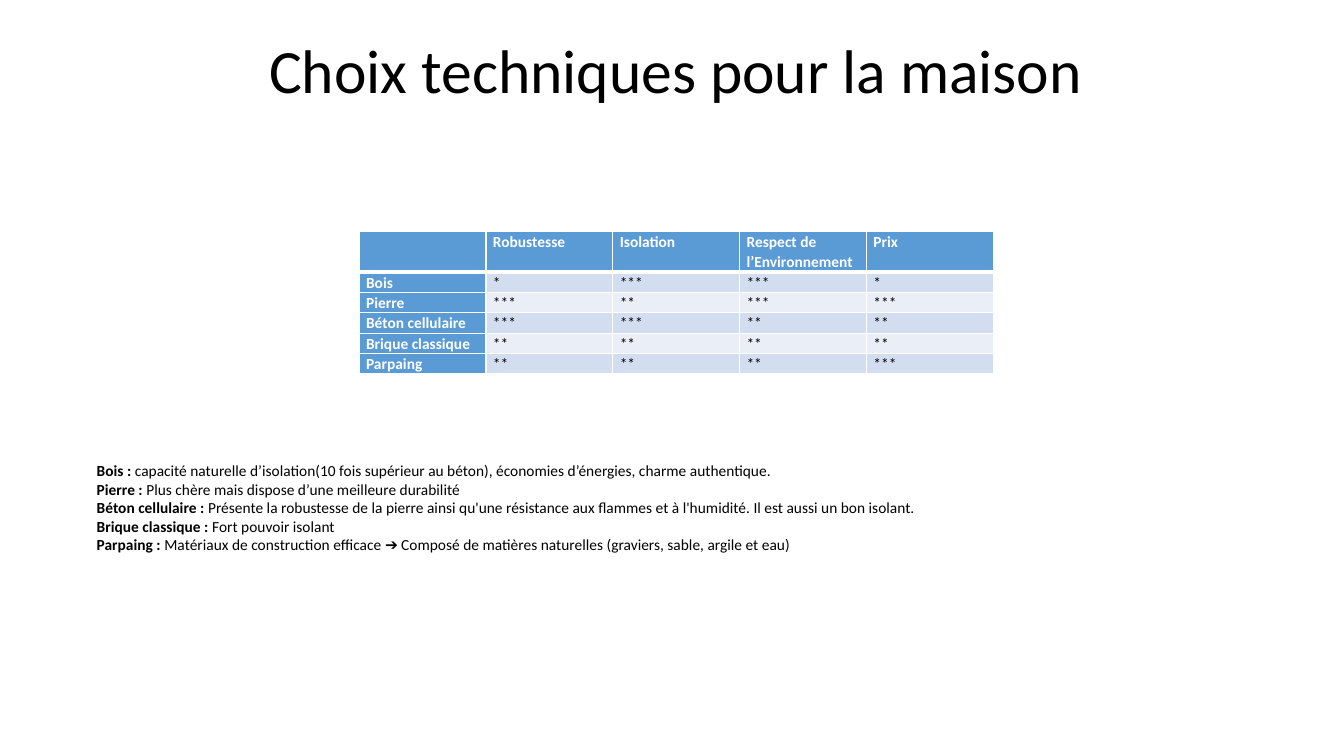
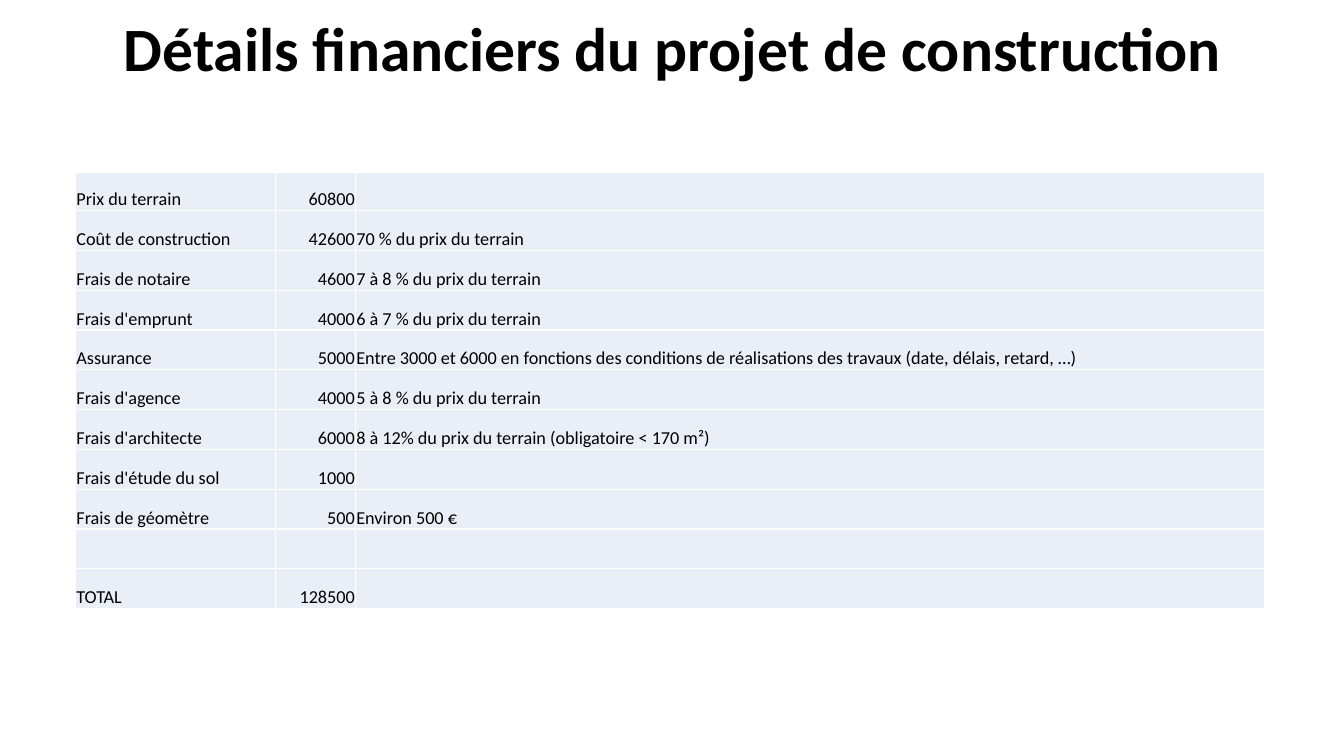
import pptx
import pptx.dml.color
import pptx.enum.text
import pptx.oxml
import pptx.oxml.ns
import pptx.util

Pt = pptx.util.Pt
RGB = pptx.dml.color.RGBColor
ALIGN = pptx.enum.text.PP_ALIGN
ANCHOR = pptx.enum.text.MSO_ANCHOR
AUTO = pptx.enum.text.MSO_AUTO_SIZE

FONT = "Calibri"
BLACK = RGB(0x00, 0x00, 0x00)
WHITE = RGB(0xFF, 0xFF, 0xFF)
BLUE = RGB(0x5B, 0x9B, 0xD5)
BAND_DARK = RGB(0xD2, 0xDE, 0xEF)
BAND_LIGHT = RGB(0xEA, 0xEF, 0xF7)

MATERIALS_TITLE = "Choix techniques pour la maison"
MATERIALS = [
    ("", "Robustesse", "Isolation", "Respect de l’Environnement", "Prix"),
    ("Bois", "*", "***", "***", "*"),
    ("Pierre", "***", "**", "***", "***"),
    ("Béton cellulaire", "***", "***", "**", "**"),
    ("Brique classique", "**", "**", "**", "**"),
    ("Parpaing", "**", "**", "**", "***"),
]
REMARKS = [
    ("Bois :", "capacité naturelle d’isolation(10 fois supérieur au béton), "
               "économies d’énergies, charme authentique."),
    ("Pierre :", "Plus chère mais dispose d’une meilleure durabilité"),
    ("Béton cellulaire :", "Présente la robustesse de la pierre ainsi qu'une résistance "
                           "aux flammes et à l'humidité. Il est aussi un bon isolant."),
    ("Brique classique :", "Fort pouvoir isolant"),
    ("Parpaing :", "Matériaux de construction efficace ➔ Composé de matières "
                   "naturelles (graviers, sable, argile et eau)"),
]

COSTS_TITLE = "Détails financiers du projet de construction"
COSTS = [
    ("Prix du terrain", "60800", ""),
    ("Coût de construction", "42600", "70 % du prix du terrain"),
    ("Frais de notaire", "4600", "7 à 8 % du prix du terrain"),
    ("Frais d'emprunt", "4000", "6 à 7 % du prix du terrain"),
    ("Assurance", "5000", "Entre 3000 et 6000 en fonctions des conditions de "
                          "réalisations des travaux (date, délais, retard, …)"),
    ("Frais d'agence", "4000", "5 à 8 % du prix du terrain"),
    ("Frais d'architecte", "6000", "8 à 12% du prix du terrain (obligatoire < 170 m²)"),
    ("Frais d'étude du sol", "1000", ""),
    ("Frais de géomètre", "500", "Environ 500 €"),
    ("", "", ""),
    ("TOTAL", "128500", ""),
]


def set_all(target, values):
    for name, value in values.items():
        setattr(target, name, value)


def add_run(p, text, size, color=BLACK, bold=False):
    r = p.add_run()
    r.text = text
    set_all(r.font, {"name": FONT, "size": Pt(size), "bold": bold})
    r.font.color.rgb = color


def add_slide(prs, title, box, bold=False):
    """Add a title-only slide; box is the title's left, top, width, height."""
    s = prs.slides.add_slide(prs.slide_layouts[5])
    sp = s.shapes.title
    set_all(sp, dict(zip(("left", "top", "width", "height"), map(Pt, box))))
    tf = sp.text_frame
    set_all(tf, {"word_wrap": True, "auto_size": AUTO.NONE,
                 "vertical_anchor": ANCHOR.MIDDLE})
    p = tf.paragraphs[0]
    set_all(p, {"alignment": ALIGN.CENTER, "line_spacing": 0.9})
    add_run(p, title, 44, bold=bold)
    return s


def set_borders(cell, widths):
    """Draw white borders; widths maps L, R, T, B to points, in that order."""
    tcPr = cell._tc.get_or_add_tcPr()
    for side, width in widths.items():
        tcPr.append(pptx.oxml.parse_xml(
            f'<a:ln{side} {pptx.oxml.ns.nsdecls("a")} w="{Pt(width)}">'
            f'<a:solidFill><a:srgbClr val="{WHITE}"/></a:solidFill></a:ln{side}>'))


def add_table(s, rows, left, top, col_widths, row_heights, margins, style):
    """Add a table; style(row, col) gives the look of one cell."""
    frame = s.shapes.add_table(len(rows), len(col_widths), Pt(left), Pt(top),
                               Pt(sum(col_widths)), Pt(sum(row_heights)))
    table = frame.table
    set_all(table, {"first_row": False, "horz_banding": False})
    for column, width in zip(table.columns, col_widths):
        column.width = Pt(width)
    for row, height in zip(table.rows, row_heights):
        row.height = Pt(height)
    sides = ("margin_left", "margin_top", "margin_right", "margin_bottom")
    for i, texts in enumerate(rows):
        for j, text in enumerate(texts):
            look = style(i, j)
            cell = table.cell(i, j)
            set_borders(cell, {"L": 1, "R": 1, "T": look.get("top", 1),
                               "B": look.get("bottom", 1)})
            cell.fill.solid()
            cell.fill.fore_color.rgb = look["fill"]
            set_all(cell, dict(zip(sides, map(Pt, margins))))
            cell.vertical_anchor = look.get("anchor", ANCHOR.TOP)
            p = cell.text_frame.paragraphs[0]
            set_all(p, look["paragraph"])
            if text:
                add_run(p, text, **look["font"])


def material_style(row, col):
    heading = row == 0 or col == 0
    band = BAND_DARK if row % 2 else BAND_LIGHT
    return {"fill": BLUE if heading else band,
            "top": 3 if row == 1 else 1,
            "bottom": 3 if row == 0 else 1,
            "paragraph": {"line_spacing": 1.07},
            "font": {"size": 11, "color": WHITE if heading else BLACK, "bold": heading}}


def cost_style(row, col):
    return {"fill": BAND_LIGHT,
            "anchor": ANCHOR.BOTTOM,
            "paragraph": {"alignment": ALIGN.RIGHT if col == 1 else ALIGN.LEFT},
            "font": {"size": 13}}


def add_remarks(s):
    sp = s.shapes.add_textbox(Pt(62), Pt(325.5), Pt(688), Pt(74))
    tf = sp.text_frame
    set_all(tf, {"word_wrap": True, "auto_size": AUTO.SHAPE_TO_FIT_TEXT,
                 "vertical_anchor": ANCHOR.MIDDLE})
    for i, (label, text) in enumerate(REMARKS):
        p = tf.add_paragraph() if i else tf.paragraphs[0]
        add_run(p, label + " ", 11, bold=True)
        add_run(p, text, 11)


def main():
    prs = pptx.Presentation()
    set_all(prs, {"slide_width": Pt(960), "slide_height": Pt(540)})

    s = add_slide(prs, MATERIALS_TITLE, (69, 0, 828, 104.4))
    add_table(s, MATERIALS, 256.5, 165.3, [90.6] * 5, [28.8] + [14.4] * 5,
              (5, 0, 5, 0), material_style)
    add_remarks(s)

    s = add_slide(prs, COSTS_TITLE, (67, 9, 828, 55), bold=True)
    add_table(s, COSTS, 54, 123.4, [143, 57, 649], [27] + [28.45] * 10,
              (0.6, 0.6, 0.6, 0), cost_style)

    prs.save("out.pptx")


if __name__ == "__main__":
    main()
